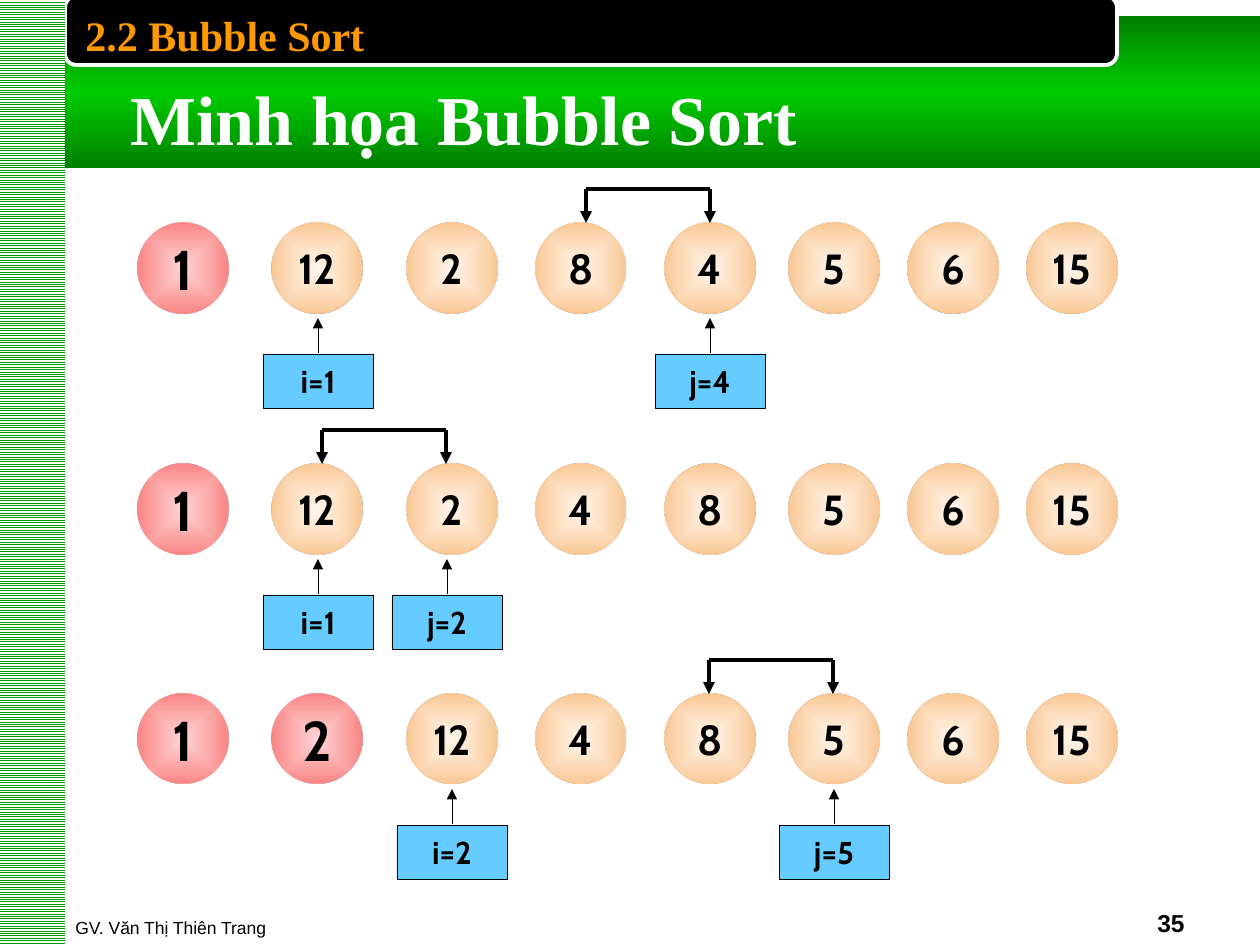
from pptx import Presentation
from pptx.dml.color import RGBColor
from pptx.enum.dml import MSO_PATTERN
from pptx.enum.shapes import MSO_CONNECTOR, MSO_SHAPE
from pptx.enum.text import MSO_ANCHOR, PP_ALIGN
from pptx.oxml import parse_xml
from pptx.oxml.ns import nsdecls, qn
from pptx.util import Emu, Pt

EMU_PER_PX = 914400 / 126
COLORS = {
    "black": "000000", "white": "FFFFFF", "heading": "FF9900",
    "band_edge": "008000", "band_middle": "00CC00", "stripe": "009900",
    "sorted_core": "FF8989", "sorted_edge": "FA8686",
    "open_core": "FFCC99", "open_edge": "FAC896", "open_line": "FFC489",
    "label": "66CCFF",
}
LINEAR_DOWN = '<a:lin ang="5400000" scaled="1"/>'
FROM_CENTRE = ('<a:path path="shape"><a:fillToRect l="50000" t="50000" '
               'r="50000" b="50000"/></a:path>')

BALL = 90
BALL_LEFTS = [0, 134, 269, 398, 527, 651, 770, 889]
SWAP_WIDTH = 124
# Each step: top, values, number already sorted, index labels (text, centre x), swap left
STEPS = [
    (223, [1, 12, 2, 8, 4, 5, 6, 15], 1, [("i=1", 180), ("j=4", 572)], 448),
    (464, [1, 12, 2, 4, 8, 5, 6, 15], 1, [("i=1", 180), ("j=2", 309)], 184),
    (694, [1, 2, 12, 4, 8, 5, 6, 15], 2, [("i=2", 314), ("j=5", 696)], 571),
]


def px(length):
    return Emu(round(length * EMU_PER_PX))


def color(name):
    return RGBColor.from_string(COLORS[name])


def write(shape, text, size, font, ink="black", bold=True, align=PP_ALIGN.LEFT,
          anchor=MSO_ANCHOR.TOP, wrap=True):
    frame = shape.text_frame
    frame.word_wrap = wrap
    frame.vertical_anchor = anchor
    paragraph = frame.paragraphs[0]
    paragraph.alignment = align
    run = paragraph.add_run()
    run.text = text
    run.font.size = Pt(size)
    run.font.name = font
    run.font.bold = bold
    run.font.color.rgb = color(ink)


def add_text(slide, box, text, size, font, **style):
    write(slide.shapes.add_textbox(*map(px, box)), text, size, font, **style)


def add_block(slide, kind, box, fill=None, line=None, weight=0.25):
    block = slide.shapes.add_shape(kind, *map(px, box))
    block.shadow.inherit = False
    if fill:
        block.fill.solid()
        block.fill.fore_color.rgb = color(fill)
    if line:
        block.line.color.rgb = color(line)
        block.line.width = Pt(weight)
    else:
        block.line.fill.background()
    return block


def set_gradient(shape, stops, direction):
    """Fill with stops of (position %, colour, opacity %)."""
    stop_xml = "".join(
        f'<a:gs pos="{at * 1000}"><a:srgbClr val="{COLORS[name]}">'
        f'<a:alpha val="{opacity * 1000}"/></a:srgbClr></a:gs>'
        for at, name, opacity in stops)
    shape.fill.background()
    properties = shape.element.spPr
    properties.replace(properties.find(qn("a:noFill")), parse_xml(
        f'<a:gradFill {nsdecls("a")} rotWithShape="1">'
        f'<a:gsLst>{stop_xml}</a:gsLst>{direction}</a:gradFill>'))


def add_line(slide, start, end, weight, arrow=False):
    line = slide.shapes.add_connector(
        MSO_CONNECTOR.STRAIGHT, *map(px, (*start, *end)))
    line.line.color.rgb = color("black")
    line.line.width = Pt(weight)
    if arrow:
        line.line._get_or_add_ln().append(
            parse_xml(f'<a:tailEnd {nsdecls("a")} type="triangle"/>'))
    line.element.spPr.append(parse_xml(f'<a:effectLst {nsdecls("a")}/>'))


def add_frame(slide, width, height):
    # Green title band
    band = add_block(slide, MSO_SHAPE.RECTANGLE, (0, 16, width + 1, 152))
    set_gradient(band, [(0, "band_edge", 100), (50, "band_middle", 100),
                        (100, "band_edge", 100)], LINEAR_DOWN)
    # Black section tab
    add_block(slide, MSO_SHAPE.ROUNDED_RECTANGLE, (65, -4, 1052, 69),
              "black", "white", 2.25)
    # Striped side bar
    stripes = add_block(slide, MSO_SHAPE.RECTANGLE, (-1, 0, 66, height))
    stripes.fill.patterned()
    stripes.fill.pattern = MSO_PATTERN.LIGHT_HORIZONTAL
    stripes.fill.fore_color.rgb = color("stripe")
    stripes.fill.back_color.rgb = color("white")
    # Headings
    add_text(slide, (73, 3, 966, 63), "2.2 Bubble Sort", 24,
             "Times New Roman", ink="heading")
    add_text(slide, (118, 69, 693, 97), "Minh họa Bubble Sort", 40,
             "Times New Roman", ink="white", wrap=False)
    # Footer
    add_text(slide, (63, 881, 766, 63), "GV. Văn Thị Thiên Trang", 10, "Arial",
             bold=False, anchor=MSO_ANCHOR.BOTTOM)
    add_text(slide, (903, 881, 294, 63), "35", 14, "Arial",
             align=PP_ALIGN.RIGHT, anchor=MSO_ANCHOR.BOTTOM)


def add_step(slide, left, top, values, sorted_count, labels, swap_left):
    centred = dict(align=PP_ALIGN.CENTER, anchor=MSO_ANCHOR.MIDDLE, wrap=False)
    # Array values
    for index, (ball_left, value) in enumerate(zip(BALL_LEFTS, values)):
        done = index < sorted_count
        state, opacity, size = ("sorted", 35, 32) if done else ("open", 17, 24)
        ball = add_block(slide, MSO_SHAPE.OVAL, (left + ball_left, top, BALL, BALL),
                         line=None if done else "open_line")
        set_gradient(ball, [(0, f"{state}_core", opacity),
                            (100, f"{state}_edge", 100)], FROM_CENTRE)
        write(ball, str(value), size, "Cabin", **centred)
    # Index labels pointing up at their values
    for text, centre in labels:
        x = left + centre
        label = add_block(slide, MSO_SHAPE.RECTANGLE, (x - 55, top + 131, 110, 54),
                          "label", "black")
        write(label, text, 18, "Cabin", **centred)
        add_line(slide, (x, top + 130), (x, top + 95), 0.25, arrow=True)
    # Swap bracket
    start, end, bar = left + swap_left, left + swap_left + SWAP_WIDTH, top - 34
    add_line(slide, (start, bar), (end, bar), 2.25)
    for x in (start, end):
        add_line(slide, (x, bar), (x, top), 2.25, arrow=True)


def main():
    width, height = 1260, 945
    deck = Presentation()
    deck.slide_width, deck.slide_height = px(width), px(height)
    slide = deck.slides.add_slide(deck.slide_layouts[6])
    add_frame(slide, width, height)
    for step in STEPS:
        add_step(slide, 138, *step)
    deck.save("out.pptx")


if __name__ == "__main__":
    main()
